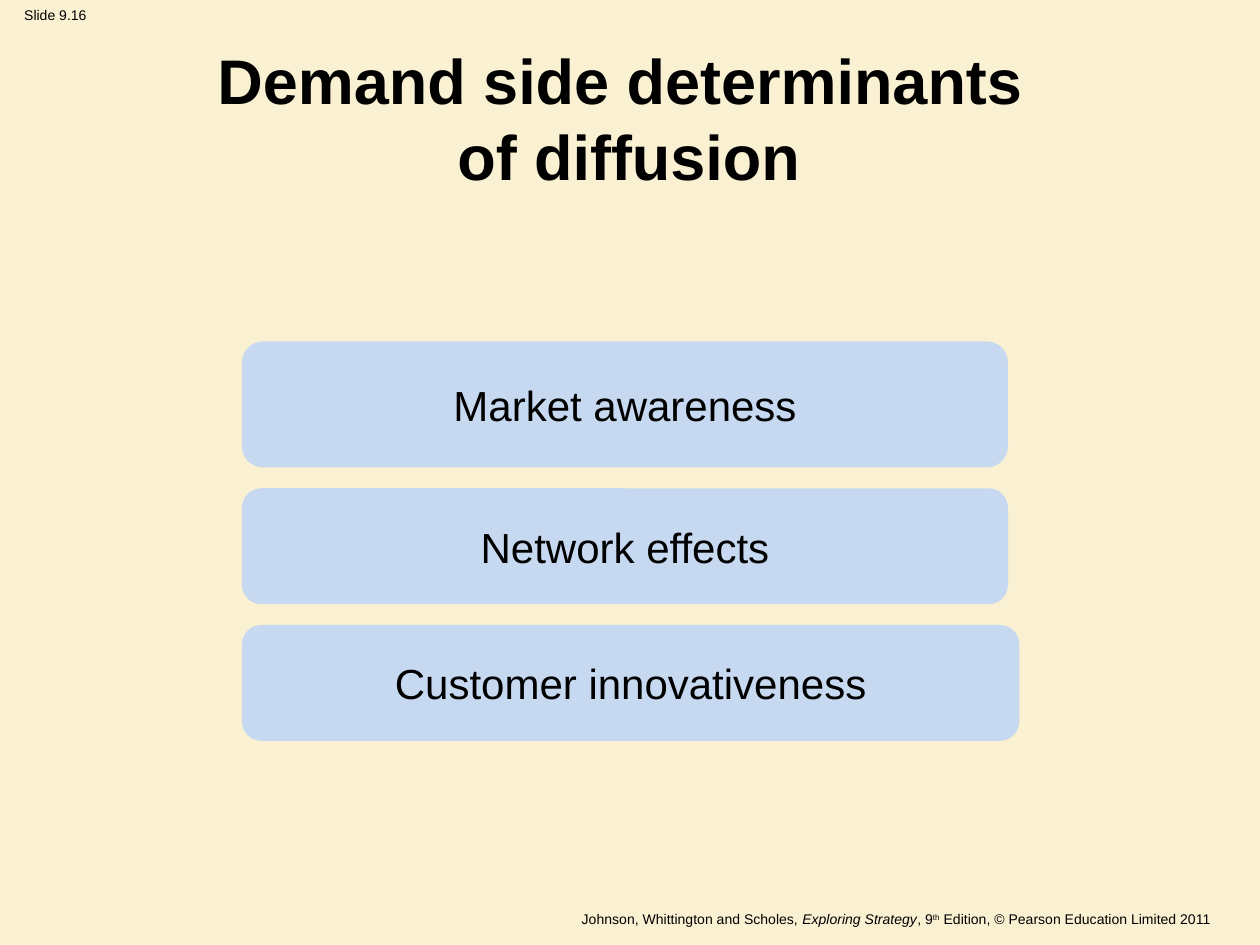
from pptx import Presentation
from pptx.dml.color import RGBColor
from pptx.enum.shapes import MSO_SHAPE
from pptx.enum.text import MSO_ANCHOR, PP_ALIGN
from pptx.util import Inches, Pt

THEME = {
    "font": "Arial",
    "page": RGBColor.from_string("FAF0D2"),
    "box": RGBColor.from_string("C6D9F1"),
    "ink": RGBColor.from_string("000000"),
    "title": Pt(36),
    "label": Pt(24),
    "small": Pt(8),
}

deck = Presentation()
deck.slide_width, deck.slide_height = Inches(10), Inches(7.5)
COLUMN = deck.slide_width / 100
ROW = deck.slide_height / 75


def place(left, top, width, height):
    return [round(share) for share in (left * COLUMN, top * ROW, width * COLUMN, height * ROW)]


def write(box, spans, size, align=PP_ALIGN.CENTER, anchor=MSO_ANCHOR.TOP, wrap=True, bold=False):
    frame = box.text_frame
    frame.word_wrap = wrap
    frame.vertical_anchor = anchor
    para = frame.paragraphs[0]
    para.alignment = align
    for text, style in spans:
        if style == "break":
            para.add_line_break()
        span = para.add_run()
        span.text = text
        span.font.name = THEME["font"]
        span.font.size = size
        span.font.bold = bold
        span.font.italic = style == "italic"
        span.font.color.rgb = THEME["ink"]
        if style == "superscript":
            span.font._element.set("baseline", "30000")


page = deck.slides.add_slide(deck.slide_layouts[6])
page.background.fill.solid()
page.background.fill.fore_color.rgb = THEME["page"]

number = page.shapes.add_textbox(*place(0, 0, 8.8, 2.4))
write(number, [("Slide 9.16", "plain")], THEME["small"], wrap=False)

credit = page.shapes.add_textbox(*place(2.6, 71.8, 94.5, 2.1))
credit_spans = [
    ("Johnson, Whittington and Scholes, ", "plain"),
    ("Exploring Strategy", "italic"),
    (", 9", "plain"),
    ("th", "superscript"),
    (" Edition, © Pearson Education Limited 2011", "plain"),
]
write(credit, credit_spans, THEME["small"], align=PP_ALIGN.RIGHT)

title = page.shapes.add_textbox(*place(2, 2.8, 95.8, 13))
title_spans = [("Demand side determinants ", "plain"), ("of diffusion", "break")]
write(title, title_spans, THEME["title"], anchor=MSO_ANCHOR.MIDDLE, bold=True)

determinants = [
    ("Market awareness", 60.8, 10),
    ("Network effects", 60.8, 9.2),
    ("Customer innovativeness", 61.7, 9.2),
]
GAP = 1.65
top = 27.1
for label, width, height in determinants:
    box = page.shapes.add_shape(MSO_SHAPE.ROUNDED_RECTANGLE, *place(19.2, top, width, height))
    box.shadow.inherit = False
    box.fill.solid()
    box.fill.fore_color.rgb = THEME["box"]
    box.line.fill.background()
    write(box, [(label, "plain")], THEME["label"], anchor=MSO_ANCHOR.MIDDLE, wrap=False)
    top += height + GAP

deck.save("out.pptx")
